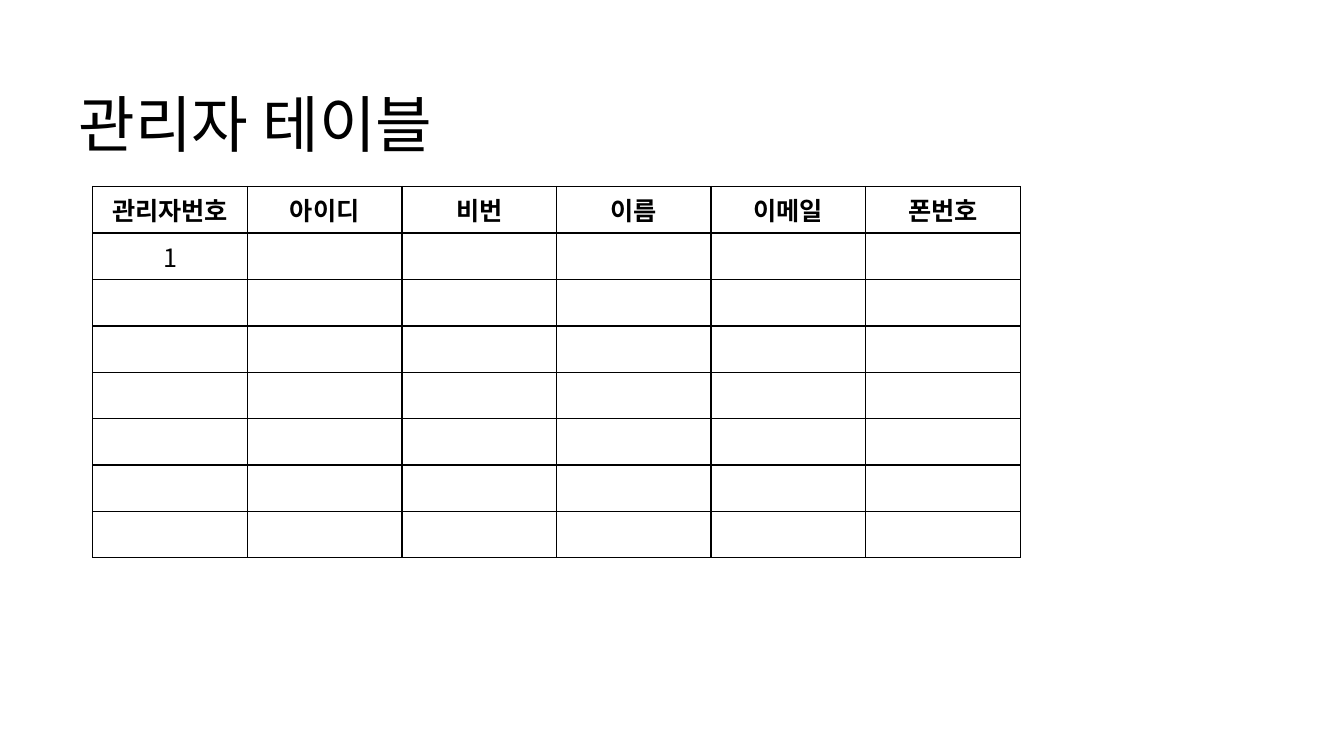
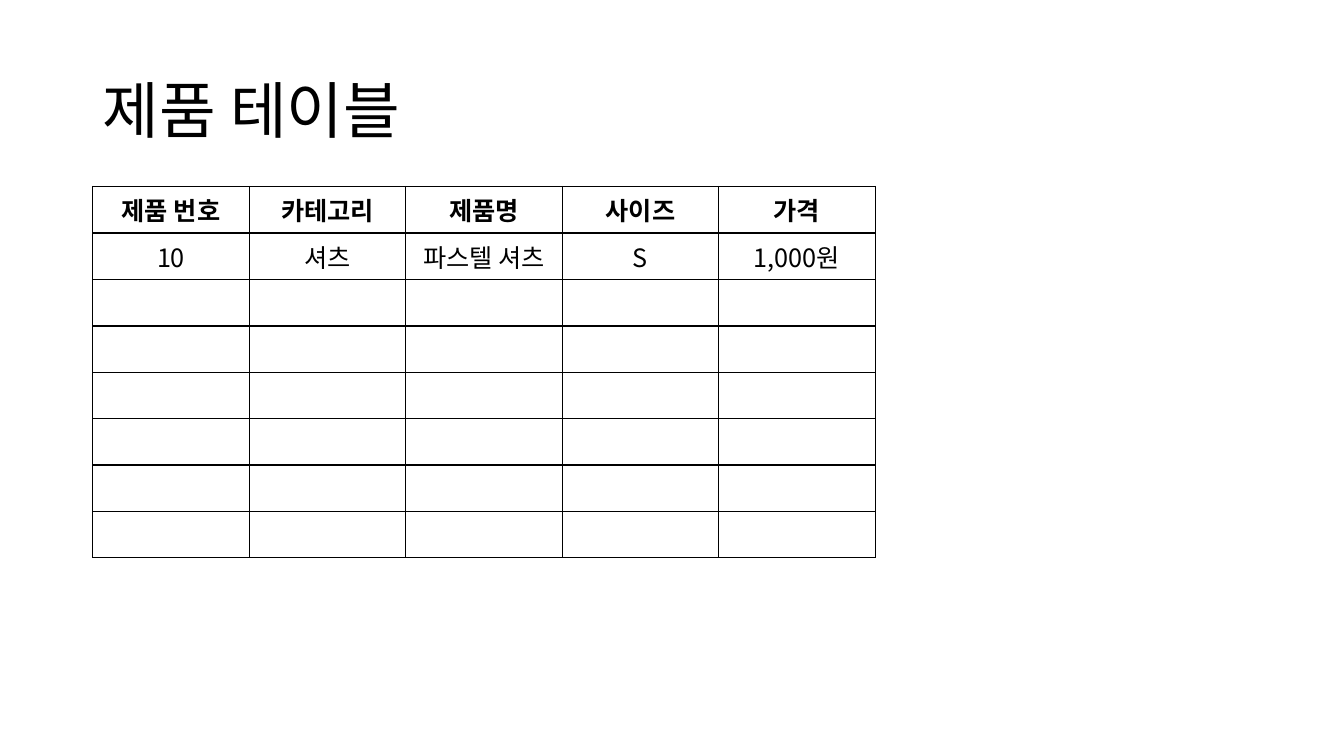
from lxml import etree
from pptx import Presentation
from pptx import util as u
from pptx.dml.color import RGBColor
from pptx.enum import text
from pptx.oxml.ns import qn

BLACK = RGBColor(0x00, 0x00, 0x00)
WHITE = RGBColor(0xFF, 0xFF, 0xFF)
FONT = "Noto Sans CJK KR"
TITLE_ONLY = 5
TITLE_WIDTH, TITLE_HEIGHT = 11.5, 1.45
TABLE_LEFT, TABLE_TOP = 0.92, 1.85
ROW_COUNT, ROW_HEIGHT = 8, 0.46
BORDER_WIDTH = u.Pt(1)


def add_text(paragraph, wording, size, bold=False):
    run = paragraph.add_run()
    run.text = wording
    run.font.size = u.Pt(size)
    run.font.bold = bold
    run.font.name = FONT
    run.font.color.rgb = BLACK
    etree.SubElement(run._r.get_or_add_rPr(), qn("a:ea"), typeface=FONT)


def add_title(slide, wording, left, top):
    title = slide.shapes.title
    title.left, title.top = u.Inches(left), u.Inches(top)
    title.width, title.height = u.Inches(TITLE_WIDTH), u.Inches(TITLE_HEIGHT)
    title.text_frame.vertical_anchor = text.MSO_ANCHOR.MIDDLE
    heading = title.text_frame.paragraphs[0]
    heading.alignment = text.PP_ALIGN.LEFT
    heading.line_spacing = 0.9
    add_text(heading, wording, 44)


def add_borders(cell):
    properties = cell._tc.get_or_add_tcPr()
    for side in ("lnL", "lnR", "lnT", "lnB"):
        border = etree.SubElement(properties, qn(f"a:{side}"), w=str(BORDER_WIDTH))
        fill = etree.SubElement(border, qn("a:solidFill"))
        etree.SubElement(fill, qn("a:srgbClr"), val=str(BLACK))


def add_records(slide, width, headers, first_record):
    records = slide.shapes.add_table(
        ROW_COUNT, len(headers), u.Inches(TABLE_LEFT), u.Inches(TABLE_TOP),
        u.Inches(width), u.Inches(ROW_COUNT * ROW_HEIGHT)).table
    records.horz_banding = False
    for cell in records.iter_cells():
        add_borders(cell)
        cell.fill.solid()
        cell.fill.fore_color.rgb = WHITE
    for row, wordings in enumerate((headers, first_record)):
        for column, wording in enumerate(wordings):
            paragraph = records.cell(row, column).text_frame.paragraphs[0]
            paragraph.alignment = text.PP_ALIGN.CENTER
            add_text(paragraph, wording, 18, bold=row == 0)


def add_table_slide(deck, title, title_at, width, headers, first_record):
    slide = deck.slides.add_slide(deck.slide_layouts[TITLE_ONLY])
    add_title(slide, title, *title_at)
    add_records(slide, width, headers, first_record)


def main():
    deck = Presentation()
    deck.slide_width, deck.slide_height = u.Inches(13.33), u.Inches(7.5)
    add_table_slide(
        deck, "관리자 테이블", (0.68, 0.54), 9.2,
        ("관리자번호", "아이디", "비번", "이름", "이메일", "폰번호"), ("1",))
    add_table_slide(
        deck, "제품 테이블", (0.92, 0.4), 7.76,
        ("제품 번호", "카테고리", "제품명", "사이즈", "가격"),
        ("10", "셔츠", "파스텔 셔츠", "S", "1,000원"))
    deck.save("out.pptx")


if __name__ == "__main__":
    main()
